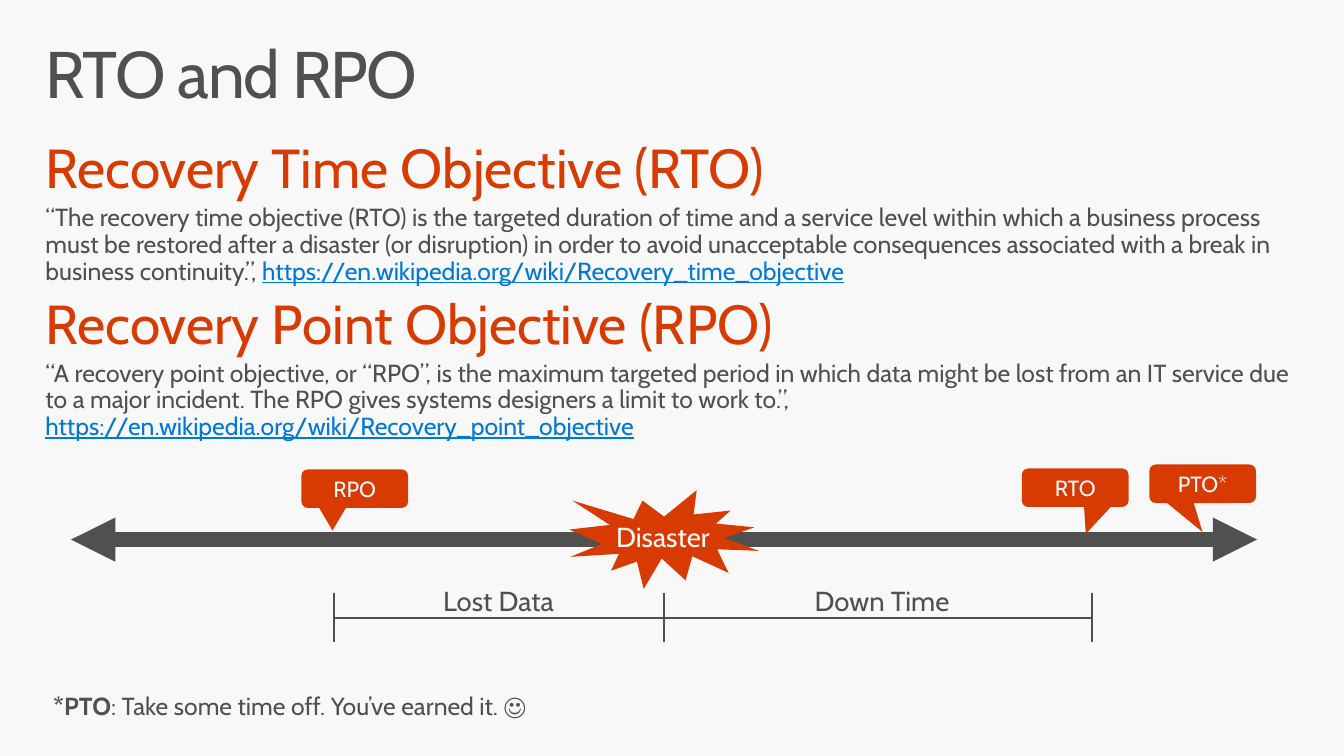
from lxml import etree
from pptx import Presentation
from pptx.dml.color import RGBColor
from pptx.enum import shapes, text
from pptx.oxml import ns
from pptx.util import Inches, Pt

FONT = "Cabin"
GRAY, ORANGE, BLUE, PALE = "505050", "D83B01", "0078D7", "F8F8F8"

DEFINITIONS = [
    ("Recovery Time Objective (RTO)",
     "“The recovery time objective (RTO) is the targeted duration of time and a "
     "service level within which a business process must be restored after a "
     "disaster (or disruption) in order to avoid unacceptable consequences "
     "associated with a break in business continuity.”, ",
     "https://en.wikipedia.org/wiki/Recovery_time_objective"),
    ("Recovery Point Objective (RPO)",
     "“A recovery point objective, or “RPO”, is the maximum targeted period in "
     "which data might be lost from an IT service due to a major incident. The "
     "RPO gives systems designers a limit to work to.”, ",
     "https://en.wikipedia.org/wiki/Recovery_point_objective"),
]

# Timeline positions
AXIS_Y, SPAN_Y, TICK = 5.46, 6.25, 0.25
LOSS_START, DISASTER, RESTORED = 3.38, 6.72, 11.05
CALLOUTS = [
    ("RPO", 3.05, 4.75, -0.209, 1.085),
    ("RTO", 10.34, 4.74, 0.099, 1.195),
    ("PTO*", 11.63, 4.7, -0.001, 1.251),
]


def rgb(color):
    return RGBColor.from_string(color)


def place(shape, left, top, width, height):
    shape.left, shape.top = Inches(left), Inches(top)
    shape.width, shape.height = Inches(width), Inches(height)


def set_frame(frame, side, edge, wrap=True, anchor=text.MSO_ANCHOR.TOP):
    frame.margin_left = frame.margin_right = Inches(side)
    frame.margin_top = frame.margin_bottom = Inches(edge)
    frame.auto_size = text.MSO_AUTO_SIZE.NONE
    frame.word_wrap = wrap
    frame.vertical_anchor = anchor


def add_run(paragraph, words, size, color, bold=False, underline=False):
    run = paragraph.add_run()
    run.text = words
    font = run.font
    font.name, font.size = FONT, Pt(size)
    font.bold, font.underline = bold, underline
    font.color.rgb = rgb(color)
    return run


def add_line(slide, x1, y1, x2, y2, width, arrows=False):
    line = slide.shapes.add_connector(
        shapes.MSO_CONNECTOR.STRAIGHT,
        Inches(x1), Inches(y1), Inches(x2), Inches(y2))
    line.line.color.rgb = rgb(GRAY)
    line.line.width = Pt(width)
    if arrows:
        outline = line.line._get_or_add_ln()
        for end in ("a:headEnd", "a:tailEnd"):
            etree.SubElement(outline, ns.qn(end), type="triangle")
    etree.SubElement(line._element.spPr, ns.qn("a:effectLst"))


def add_marker(slide, kind, label, size, left, top, width, height):
    marker = slide.shapes.add_shape(
        kind, Inches(left), Inches(top), Inches(width), Inches(height))
    marker.shadow.inherit = False
    marker.fill.solid()
    marker.fill.fore_color.rgb = rgb(ORANGE)
    marker.line.fill.background()
    set_frame(marker.text_frame, 0, 0.05, anchor=text.MSO_ANCHOR.MIDDLE)
    paragraph = marker.text_frame.paragraphs[0]
    paragraph.alignment = text.PP_ALIGN.CENTER
    add_run(paragraph, label, size, PALE)
    return marker


def add_text(slide, left, top, width, height, side, edge, wrap, align):
    box = slide.shapes.add_textbox(
        Inches(left), Inches(top), Inches(width), Inches(height))
    set_frame(box.text_frame, side, edge, wrap)
    paragraph = box.text_frame.paragraphs[0]
    paragraph.alignment = align
    paragraph.line_spacing = 0.9
    return paragraph


def fill_title(title):
    place(title, 0.3, 0.32, 13, 1)
    set_frame(title.text_frame, 0.16, 0.1)
    paragraph = title.text_frame.paragraphs[0]
    paragraph.alignment = text.PP_ALIGN.LEFT
    paragraph.line_spacing = 0.9
    run = add_run(paragraph, "RTO and RPO", 48, GRAY)
    run.font._element.set("spc", "-100")


def format_item(paragraph, level, space_before):
    properties = paragraph._p.get_or_add_pPr()
    properties.set("marL", "0")
    properties.set("indent", "0")
    etree.SubElement(properties, ns.qn("a:buNone"))
    paragraph.level = level
    paragraph.line_spacing = 0.9
    paragraph.space_before = Pt(space_before)


def fill_definitions(body):
    place(body, 0.3, 1.33, 13, 3.4)
    frame = body.text_frame
    set_frame(frame, 0.16, 0.1)
    for index, (term, meaning, source) in enumerate(DEFINITIONS):
        heading = frame.add_paragraph() if index else frame.paragraphs[0]
        format_item(heading, 0, 8 if index else 0)
        add_run(heading, term, 40, ORANGE)
        detail = frame.add_paragraph()
        format_item(detail, 1, 3.6)
        add_run(detail, meaning, 18, GRAY)
        add_run(detail, source, 18, BLUE, underline=True)


def draw_timeline(slide):
    # Axis and disaster burst
    add_line(slide, 0.72, AXIS_Y, 12.72, AXIS_Y, 10.75, arrows=True)
    add_marker(slide, shapes.MSO_SHAPE.EXPLOSION1, "Disaster", 20,
               DISASTER - 0.96, AXIS_Y - 0.5, 1.92, 1)

    # Spans with their labels
    for label, left, width in (("Lost Data", 3.38, 3.33), ("Down Time", 6.84, 4.17)):
        paragraph = add_text(slide, left, 5.79, width, 0.63, 0.2, 0.16, True,
                             text.PP_ALIGN.CENTER)
        add_run(paragraph, label, 20, GRAY)
    for x in (LOSS_START, DISASTER, RESTORED):
        add_line(slide, x, SPAN_Y - TICK, x, SPAN_Y + TICK, 1.5)
    for start, end in ((LOSS_START, DISASTER), (DISASTER, RESTORED)):
        add_line(slide, start, SPAN_Y, end, SPAN_Y, 1.5)

    # Callouts pointing at the axis
    for label, left, top, tip_x, tip_y in CALLOUTS:
        callout = add_marker(slide, shapes.MSO_SHAPE.ROUNDED_RECTANGULAR_CALLOUT,
                             label, 16, left, top, 1.08, 0.39)
        callout.adjustments[0] = tip_x
        callout.adjustments[1] = tip_y


def main():
    deck = Presentation()
    deck.slide_width, deck.slide_height = Inches(13.6), Inches(7.65)
    slide = deck.slides.add_slide(deck.slide_layouts[1])
    slide.background.fill.solid()
    slide.background.fill.fore_color.rgb = rgb(PALE)

    fill_title(slide.shapes.title)
    fill_definitions(slide.placeholders[1])
    draw_timeline(slide)

    # Footnote
    note = add_text(slide, 0.44, 6.98, 5.22, 0.37, 0.1, 0.05, False,
                    text.PP_ALIGN.LEFT)
    add_run(note, "*PTO", 18, GRAY, bold=True)
    add_run(note, ": Take some time off. You’ve earned it. ☺", 18, GRAY)

    deck.save("out.pptx")


if __name__ == "__main__":
    main()
